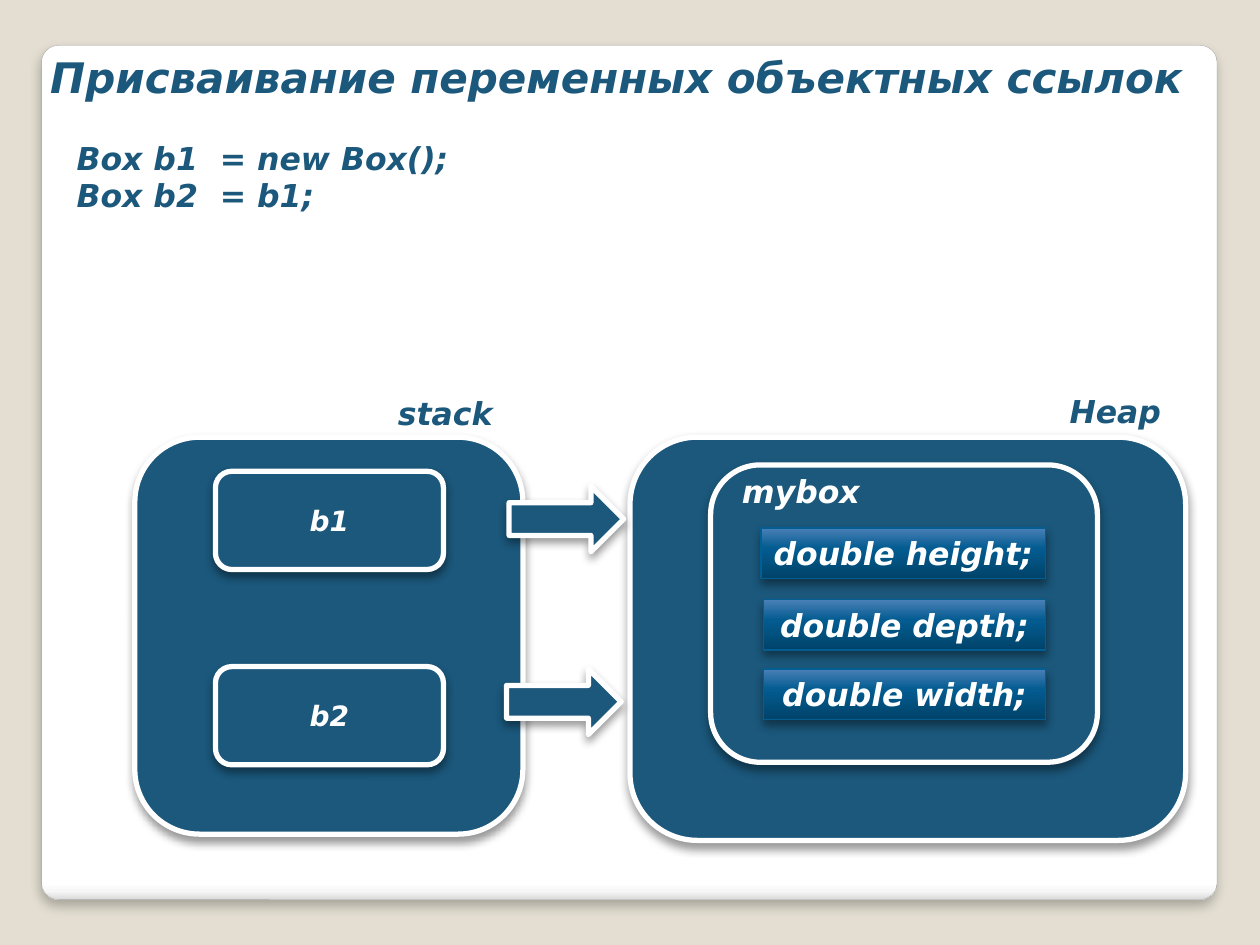
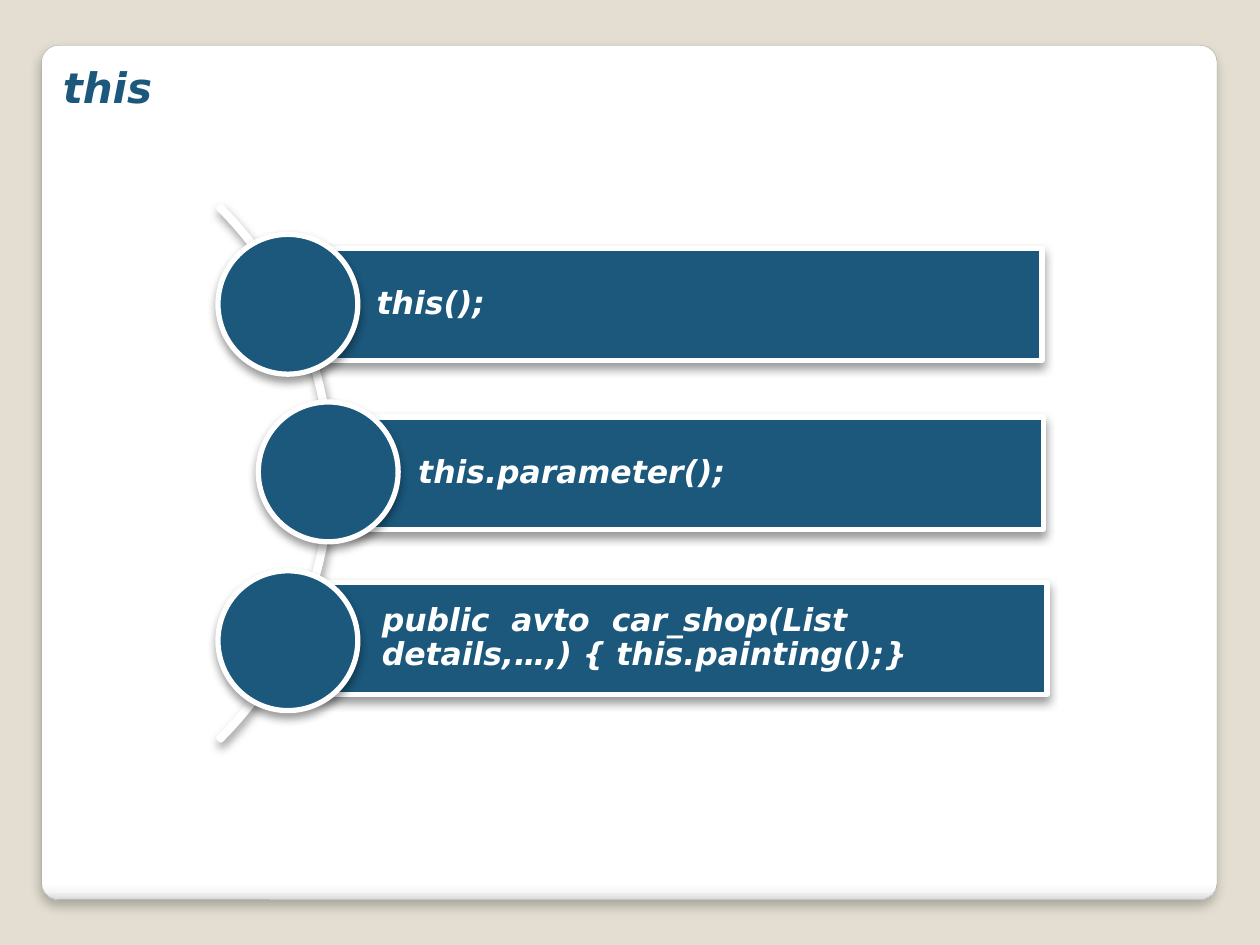
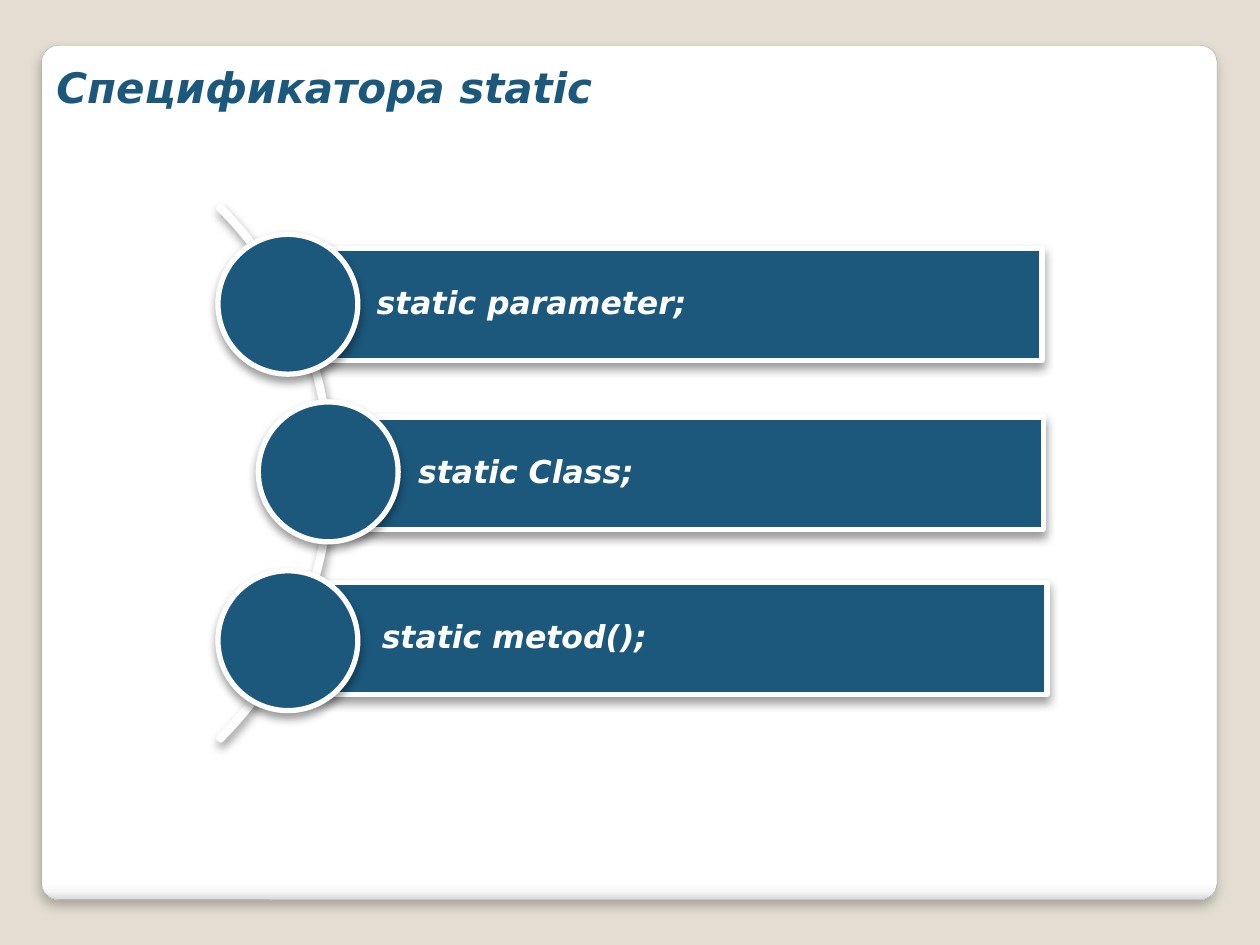
from pptx import Presentation
from pptx.dml.color import RGBColor
from pptx.enum.shapes import MSO_SHAPE
from pptx.enum.text import MSO_ANCHOR, PP_ALIGN
from pptx.oxml import parse_xml
from pptx.oxml.ns import nsdecls, qn
from pptx.util import Inches, Pt

ROUND = MSO_SHAPE.ROUNDED_RECTANGLE
RECT = MSO_SHAPE.RECTANGLE
OVAL = MSO_SHAPE.OVAL
ARROW = MSO_SHAPE.RIGHT_ARROW
ARC = MSO_SHAPE.BLOCK_ARC
LEFT, CENTER = PP_ALIGN.LEFT, PP_ALIGN.CENTER
TOP, MIDDLE = MSO_ANCHOR.TOP, MSO_ANCHOR.MIDDLE

FONT = "DejaVu Sans"
HUE = {
    "sand": "E3DED1",
    "navy": "1B587C",
    "white": "FFFFFF",
    "edge": "A4A4A4",
    "rim": "035E94",
}
CARD = [(0, "FFFFFF"), (98, "FFFFFF"), (99, "F7F7F7"), (100, "DADADA")]
FIELD = [(0, "00436A"), (60, "035C91"), (100, "4A80B7")]


def draw(slide, kind, at, stops=None, angle=90, line="white", width=3,
         shade=(40, 5.2, 3), adj=()):
    shape = slide.shapes.add_shape(kind, *map(Inches, at))
    for i, value in enumerate(adj):
        shape.adjustments[i] = value
    props = shape.element.spPr
    if stops:
        shape.fill.gradient()
        shape.fill.gradient_angle = angle
        ramp = props.find(qn("a:gradFill")).find(qn("a:gsLst"))
        for stop in list(ramp):
            ramp.remove(stop)
        for pos, color in stops:
            ramp.append(parse_xml(
                f'<a:gs {nsdecls("a")} pos="{pos * 1000}"><a:srgbClr val="{color}"/></a:gs>'))
    else:
        shape.fill.solid()
        shape.fill.fore_color.rgb = RGBColor.from_string(HUE["navy"])
    shape.line.color.rgb = RGBColor.from_string(HUE[line])
    shape.line.width = Pt(width)
    shape.shadow.inherit = False
    alpha, blur, dist = shade
    props.find(qn("a:effectLst")).append(parse_xml(
        f'<a:outerShdw {nsdecls("a")} blurRad="{Pt(blur)}" dist="{Pt(dist)}" '
        f'dir="5400000" algn="t" rotWithShape="0"><a:srgbClr val="000000">'
        f'<a:alpha val="{alpha * 1000}"/></a:srgbClr></a:outerShdw>'))
    return shape


def write(text, slide=None, at=None, shape=None, size=18, color="navy",
          align=LEFT, anchor=TOP, wrap=True, inset=0.1):
    shape = shape or slide.shapes.add_textbox(*map(Inches, at))
    frame = shape.text_frame
    frame.word_wrap = wrap
    frame.vertical_anchor = anchor
    frame.margin_left = Inches(inset)
    frame.text = text
    for para in frame.paragraphs:
        para.alignment = align
        font = para.font
        font.name = FONT
        font.size = Pt(size)
        font.bold = font.italic = True
        font.color.rgb = RGBColor.from_string(HUE[color])


prs = Presentation()
prs.slide_width, prs.slide_height = Inches(10), Inches(7.5)
back = prs.slide_master.background.fill
back.solid()
back.fore_color.rgb = RGBColor.from_string(HUE["sand"])

titles = [
    ("Присваивание переменных объектных ссылок", (0.3, 0.36, 9.55, 0.5)),
    ("this", (0.4, 0.44, 1.03, 0.5)),
    ("Cпецификатора static", (0.35, 0.44, 4.57, 0.5)),
]
slides = []
for title, at in titles:
    slide = prs.slides.add_slide(prs.slide_layouts[6])
    draw(slide, ROUND, (0.33, 0.36, 9.33, 6.78), stops=CARD, angle=270,
         line="edge", width=0.16, shade=(25, 6, 4), adj=[0.02])
    write(title, slide, at, size=24)
    slides.append(slide)

refs, *lists = slides
write("Вoх b1  = new Вох();\nВoх b2  = b1;", refs, (0.51, 1.05, 9.13, 0.71))

stack = (1.07, 3.47, 3.08, 3.15)
heap = (5, 3.47, 4.41, 3.2)
mybox = (5.64, 3.69, 3.07, 2.36)
for at in (stack, heap, mybox):
    draw(refs, ROUND, at)

for name, top in (("b1", 3.74), ("b2", 5.29)):
    var = draw(refs, ROUND, (1.71, top, 1.81, 0.78))
    write(name, shape=var, size=16, color="white", align=CENTER, anchor=MIDDLE)

for left, top in ((4.04, 3.86), (4.02, 5.31)):
    draw(refs, ARROW, (left, top, 0.91, 0.52))

fields = [
    ("double height;", 6.04, 4.19, 2.26),
    ("double depth;", 6.06, 4.76, 2.24),
    ("double width;", 6.06, 5.31, 2.24),
]
for text, left, top, width in fields:
    field = draw(refs, RECT, (left, top, width, 0.4), stops=FIELD, angle=90,
                 line="rim", width=0.75)
    write(text, shape=field, color="white", align=CENTER, wrap=False)

labels = [
    ("stack", (3.06, 3.08, 0.95, 0.4), "navy"),
    ("Heap", (8.39, 3.06, 0.93, 0.4), "navy"),
    ("mуbох", (5.79, 3.7, 1.15, 0.4), "white"),
]
for text, at, color in labels:
    write(text, refs, at, color=color, wrap=False)

bars = [(2.28, 1.97, 5.99, 0.89), (2.61, 3.31, 5.67, 0.89), (2.32, 4.62, 5.99, 0.89)]
discs = [(1.73, 1.86, 1.11, 1.11), (2.05, 3.19, 1.11, 1.11), (1.73, 4.53, 1.11, 1.11)]
items = [
    ["this();", "this.parameter();",
     "public  avto  car_shop(List details,…,) { this.painting();}"],
    ["static parameter;", "static Class;", "static metod();"],
]
for slide, texts in zip(lists, items):
    draw(slide, ARC, (-3.36, 0.76, 5.99, 5.99), adj=[189, 27, 0.004])
    for text, bar, disc in zip(texts, bars, discs):
        strip = draw(slide, RECT, bar)
        write(text, shape=strip, color="white", anchor=MIDDLE, inset=0.71)
        for para in strip.text_frame.paragraphs:
            para.line_spacing = 0.9
        draw(slide, OVAL, disc)

prs.save("out.pptx")
